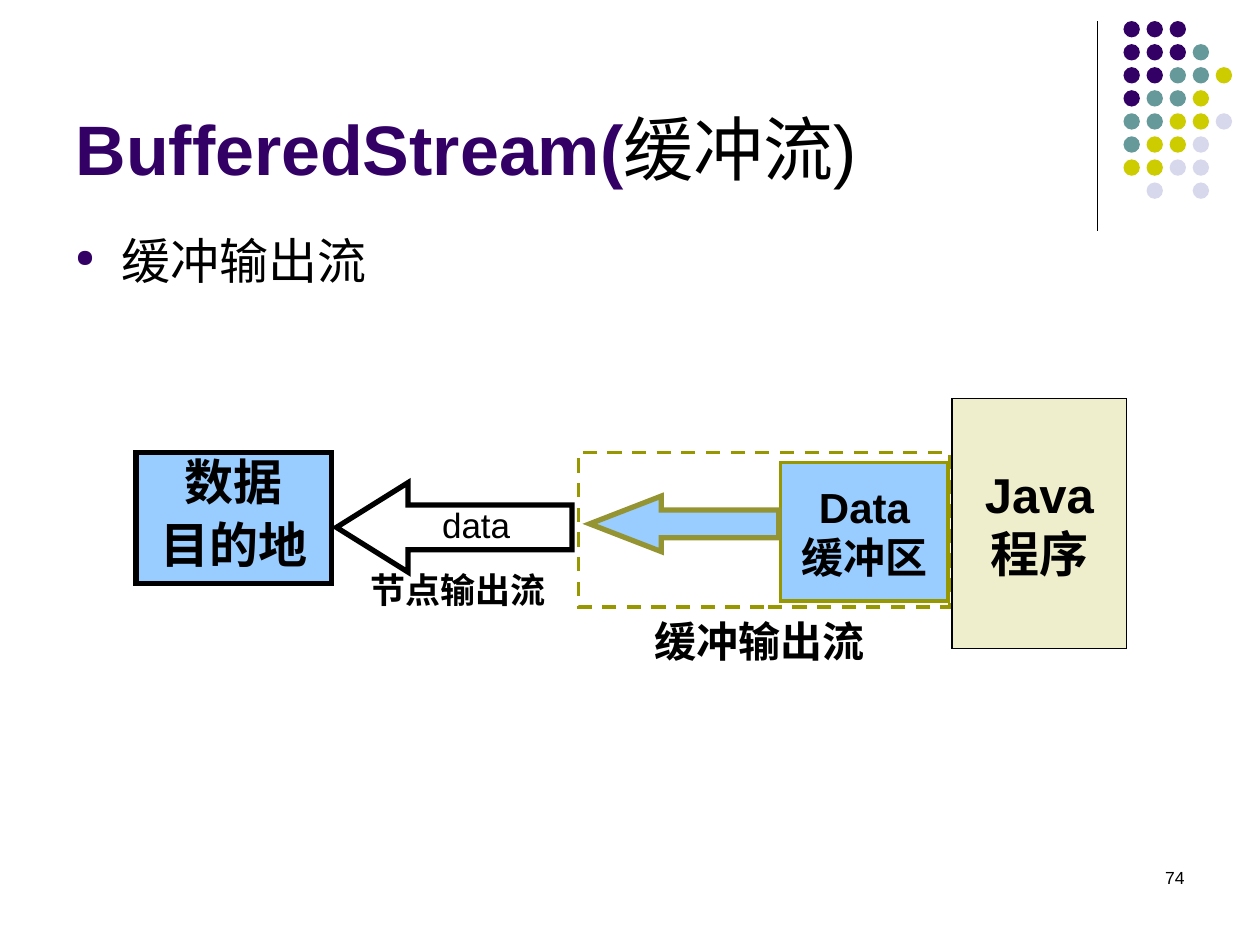
import pptx
import pptx.util
import pptx.dml.color
import pptx.enum.dml
import pptx.enum.shapes
import pptx.enum.text
import pptx.oxml
import pptx.oxml.ns
import lxml.etree

COLORS = {
    "purple": "330066", "teal": "669999", "lime": "CCCC00", "lilac": "D8D8EC",
    "black": "000000", "white": "FFFFFF", "blue": "99CCFF", "cream": "EEEECC",
    "olive": "979700", "moss": "949432",
}
SHAPES = pptx.enum.shapes.MSO_SHAPE
ALIGN = pptx.enum.text.PP_ALIGN
ANCHOR = pptx.enum.text.MSO_ANCHOR

deck = pptx.Presentation()
deck.slide_width = pptx.util.Inches(10)
deck.slide_height = pptx.util.Inches(7.5)
slide = deck.slides.add_slide(deck.slide_layouts[5])


def place(left, top, width, height):
    """Turn percentages of the slide's width and height into lengths."""
    return [int(deck.slide_width * left / 100), int(deck.slide_height * top / 100),
            int(deck.slide_width * width / 100), int(deck.slide_height * height / 100)]


def write(box, lines, font, size, color="black", bold=False, anchor=ANCHOR.TOP,
          wrap=True, **paragraph_format):
    """Fill a box with one paragraph per line; the format values go to each paragraph."""
    frame = box.text_frame
    frame.word_wrap = wrap
    frame.vertical_anchor = anchor
    frame.text = "\n".join(lines)
    for number, para in enumerate(frame.paragraphs):
        for name, value in paragraph_format.items():
            if name != "space_before" or number > 0:
                setattr(para, name, value)
        for span in para.runs:
            for name, value in {"name": font, "size": pptx.util.Pt(size), "bold": bold}.items():
                setattr(span.font, name, value)
            span.font.color.rgb = pptx.dml.color.RGBColor.from_string(COLORS[color])


# Corner decoration: a rule and a grid of dots
x, top, _, length = place(87.1, 2.27, 0, 22.13)
rule = slide.shapes.add_connector(
    pptx.enum.shapes.MSO_CONNECTOR.STRAIGHT, x, top, x, top + length)
rule.line.width = pptx.util.Pt(0.75)
rule.line.color.rgb = pptx.dml.color.RGBColor.from_string(COLORS["black"])
lxml.etree.SubElement(rule.element.spPr, pptx.oxml.ns.qn("a:effectLst"))

dot_colors = {"P": "purple", "T": "teal", "Y": "lime", "L": "lilac"}
dot_rows = ["PPP", "PPPT", "PPTTY", "PTTY", "TTYYL", "TYYL", "YYLL", " L L"]
for row, letters in enumerate(dot_rows):
    for column, letter in enumerate(letters):
        if letter in dot_colors:
            dot = slide.shapes.add_shape(
                SHAPES.OVAL, *place(89.17 + 1.83 * column, 2.23 + 2.44 * row, 1.3, 1.73))
            dot.shadow.inherit = False
            dot.fill.solid()
            dot.fill.fore_color.rgb = pptx.dml.color.RGBColor.from_string(
                COLORS[dot_colors[letter]])
            dot.line.fill.background()

# Title, with its second part plain black
title = slide.shapes.title
title.left, title.top, title.width, title.height = place(5, 1.8, 82.5, 18.93)
write(title, ["BufferedStream("], "Arial", 40, "purple", bold=True,
      anchor=ANCHOR.BOTTOM, alignment=ALIGN.LEFT)
span = title.text_frame.paragraphs[0].add_run()
span.text = "缓冲流)"
for name, value in {"name": "Arial", "size": pptx.util.Pt(40), "bold": False}.items():
    setattr(span.font, name, value)
span.font.color.rgb = pptx.dml.color.RGBColor.from_string(COLORS["black"])

# Bulleted body
body = slide.shapes.add_textbox(*place(5, 23.73, 90, 65.6))
write(body, ["缓冲输出流"], "Times New Roman", 28)
properties = body.text_frame.paragraphs[0]._p.get_or_add_pPr()
indent = pptx.util.Inches(0.37)
properties.set("marL", str(indent))
properties.set("indent", str(-indent))
namespace = pptx.oxml.ns.nsdecls("a")
for bullet in (f'<a:buClr {namespace}><a:srgbClr val="{COLORS["purple"]}"/></a:buClr>',
               f'<a:buSzPct {namespace} val="50000"/>',
               f'<a:buChar {namespace} char="●"/>'):
    properties.append(pptx.oxml.parse_xml(bullet))

# Diagram shapes, back to front: kind, place, fill, line colour, line width, arrow head
diagram = {
    "buffer stream": (SHAPES.RECTANGLE, (45.9, 47.87, 29.5, 16.4), None, "olive", 2, None),
    "destination": (SHAPES.RECTANGLE, (10.8, 47.87, 15.5, 13.87), "blue", "black", 3, None),
    "node arrow": (SHAPES.RIGHT_ARROW, (26.7, 51.07, 18.7, 9.47), None, "black", 3, 0.8),
    "stream label": (SHAPES.RECTANGLE, (50.6, 64.45, 19.3, 6.67), "white", None, 0, None),
    "program": (SHAPES.RECTANGLE, (75.56, 42.2, 13.86, 26.45), "cream", "black", 0.75, None),
    "buffer": (SHAPES.RECTANGLE, (61.96, 48.93, 13.3, 14.67), "blue", "olive", 2, None),
    "buffer arrow": (SHAPES.RIGHT_ARROW, (46.8, 52.5, 15, 5.87), "blue", "moss", 3, 1.29),
}
boxes = {}
for label, (kind, position, fill, line, width, head) in diagram.items():
    box = boxes[label] = slide.shapes.add_shape(kind, *place(*position))
    box.shadow.inherit = False
    if fill:
        box.fill.solid()
        box.fill.fore_color.rgb = pptx.dml.color.RGBColor.from_string(COLORS[fill])
    else:
        box.fill.background()
    if line:
        box.line.color.rgb = pptx.dml.color.RGBColor.from_string(COLORS[line])
        box.line.width = pptx.util.Pt(width)
        if label == "buffer stream":
            box.line.dash_style = pptx.enum.dml.MSO_LINE.DASH
        corner = lxml.etree.SubElement(
            box.element.spPr.find(pptx.oxml.ns.qn("a:ln")), pptx.oxml.ns.qn("a:miter"))
        corner.set("lim", "800000")
    else:
        box.line.fill.background()
    if head:
        box.rotation = 180
        box.adjustments[1] = head

# Diagram wording
write(boxes["destination"], ["数据", "目的地"], "Times New Roman", 28, bold=True,
      alignment=ALIGN.CENTER, line_spacing=0.9, space_before=pptx.util.Pt(5.6))
write(boxes["stream label"], ["缓冲输出流"], "Times New Roman", 24, bold=True,
      alignment=ALIGN.CENTER)
write(boxes["program"], ["Java程序"], "Arial", 28, bold=True,
      anchor=ANCHOR.MIDDLE, alignment=ALIGN.CENTER)
write(boxes["buffer"], ["Data", "缓冲区"], "Arial", 24, bold=True,
      anchor=ANCHOR.MIDDLE, alignment=ALIGN.CENTER)

node_label = slide.shapes.add_textbox(*place(28.4, 60, 16.8, 5.33))
write(node_label, ["节点输出流"], "Times New Roman", 20, bold=True, wrap=False, line_spacing=0.9)
data_label = slide.shapes.add_textbox(*place(34.1, 52.67, 7.5, 5.87))
write(data_label, ["data"], "Arial", 20, wrap=False)
page_number = slide.shapes.add_textbox(*place(71.7, 91.07, 23.3, 6.67))
write(page_number, ["74"], "Arial", 10, alignment=ALIGN.RIGHT)

deck.save("out.pptx")
